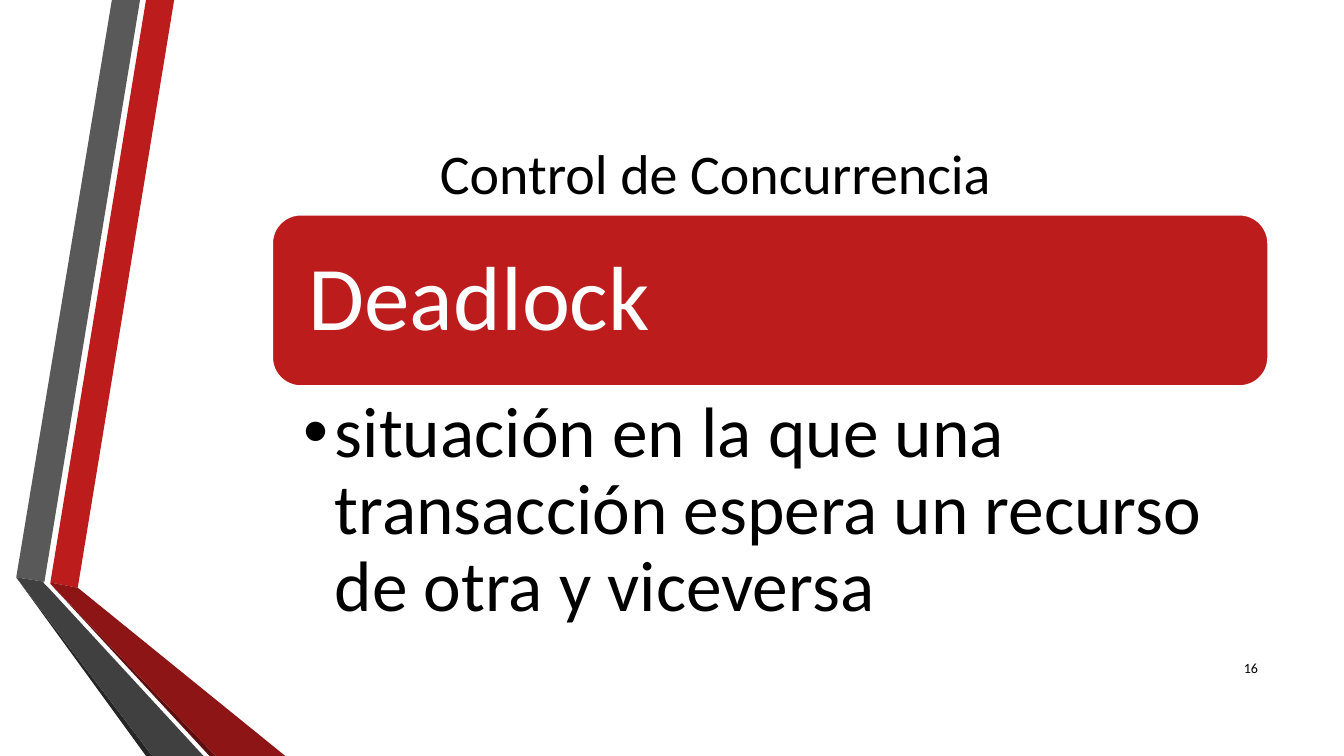
from dataclasses import dataclass

from lxml.etree import SubElement
from pptx import Presentation
from pptx.dml.color import RGBColor
from pptx.enum.shapes import MSO_SHAPE
from pptx.enum.text import MSO_ANCHOR, PP_ALIGN
from pptx.oxml.ns import qn
from pptx.shapes.autoshape import Shape
from pptx.slide import Slide
from pptx.util import Cm, Pt

COLORS = {
    "red": "BC1C1C",
    "dark_red": "8D1515",
    "deep_red": "5E0E0E",
    "gray": "595959",
    "dark_gray": "404040",
    "deep_gray": "262626",
    "black": "000000",
    "white": "FFFFFF",
}
FONT = "Calibri"
BOTTOM = 19.05


@dataclass(frozen=True)
class Ribbon:
    color: str
    points: tuple[tuple[float, float], ...]


@dataclass(frozen=True)
class Caption:
    text: str
    box: tuple[float, float, float, float]
    size: int
    color: str = "black"
    align: PP_ALIGN = PP_ALIGN.LEFT
    anchor: MSO_ANCHOR = MSO_ANCHOR.MIDDLE
    insets: tuple[float, float, float, float] = (0.25, 0.13, 0.25, 0.13)
    line_spacing: float = 1.0
    bullet_indent: float = 0


RIBBONS = (
    Ribbon("red", ((1.27, 14.68), (1.96, 14.81), (4.39, 0), (3.68, 0))),
    Ribbon("gray", ((3.53, 0), (2.82, 0), (0.41, 14.55), (1.12, 14.66))),
    Ribbon("deep_gray", ((0.41, 14.55), (3.68, BOTTOM), (3.84, BOTTOM))),
    Ribbon("deep_red", ((1.27, 14.71), (5.28, BOTTOM), (5.44, BOTTOM))),
    Ribbon("dark_red", ((1.27, 14.71), (5.44, BOTTOM), (7.19, BOTTOM),
                        (1.96, 14.81), (1.27, 14.68))),
    Ribbon("dark_gray", ((5.13, BOTTOM), (1.22, 14.81), (1.09, 14.68),
                         (1.12, 14.66), (0.41, 14.55), (3.84, BOTTOM))),
)

PANEL_BOX = (6.86, 5.41, 25.1, 4.32)

CAPTIONS = (
    Caption("Control de Concurrencia", (4.11, 1.9, 27.84, 4.88), 40,
            align=PP_ALIGN.CENTER),
    Caption("Deadlock", (7.09, 5.64, 24.66, 3.91), 65, "white",
            insets=(0.69, 0.69, 0.69, 0.69), line_spacing=0.9),
    Caption("situación en la que una transacción espera un recurso de otra y viceversa",
            (6.86, 9.75, 25.1, 6.55), 51, anchor=MSO_ANCHOR.TOP,
            insets=(0.79, 0.23, 1.3, 0.23), line_spacing=0.9, bullet_indent=0.79),
    Caption("16", (30.43, 16.31, 1.52, 1.02), 10, align=PP_ALIGN.RIGHT),
)


def rgb(color: str) -> RGBColor:
    return RGBColor.from_string(COLORS[color])


def paint(shape: Shape, color: str) -> None:
    shape.shadow.inherit = False
    shape.fill.solid()
    shape.fill.fore_color.rgb = rgb(color)


def draw_ribbon(slide: Slide, ribbon: Ribbon) -> None:
    start, *rest = [(Cm(x), Cm(y)) for x, y in ribbon.points]
    builder = slide.shapes.build_freeform(*start)
    builder.add_line_segments(rest, close=True)
    band = builder.convert_to_shape()
    paint(band, ribbon.color)
    band.line.fill.background()


def draw_panel(slide: Slide) -> None:
    panel = slide.shapes.add_shape(MSO_SHAPE.ROUNDED_RECTANGLE, *map(Cm, PANEL_BOX))
    paint(panel, "red")
    panel.line.color.rgb = rgb("white")
    panel.line.width = Pt(1.25)


def draw_caption(slide: Slide, caption: Caption) -> None:
    frame = slide.shapes.add_textbox(*map(Cm, caption.box)).text_frame
    frame.word_wrap = True
    frame.vertical_anchor = caption.anchor
    (frame.margin_left, frame.margin_top,
     frame.margin_right, frame.margin_bottom) = map(Cm, caption.insets)
    paragraph = frame.paragraphs[0]
    paragraph.alignment = caption.align
    paragraph.line_spacing = caption.line_spacing
    if caption.bullet_indent:
        properties = paragraph._p.get_or_add_pPr()
        properties.set("marL", str(Cm(caption.bullet_indent)))
        properties.set("indent", str(-Cm(caption.bullet_indent)))
        SubElement(properties, qn("a:buFont"), typeface="Arial")
        SubElement(properties, qn("a:buChar"), char="•")
    run = paragraph.add_run()
    run.text = caption.text
    run.font.name = FONT
    run.font.size = Pt(caption.size)
    run.font.color.rgb = rgb(caption.color)


def main() -> None:
    presentation = Presentation()
    presentation.slide_width = Cm(33.87)
    presentation.slide_height = Cm(BOTTOM)
    slide = presentation.slides.add_slide(presentation.slide_layouts[6])
    for ribbon in RIBBONS:
        draw_ribbon(slide, ribbon)
    draw_panel(slide)
    for caption in CAPTIONS:
        draw_caption(slide, caption)
    presentation.save("out.pptx")


if __name__ == "__main__":
    main()
